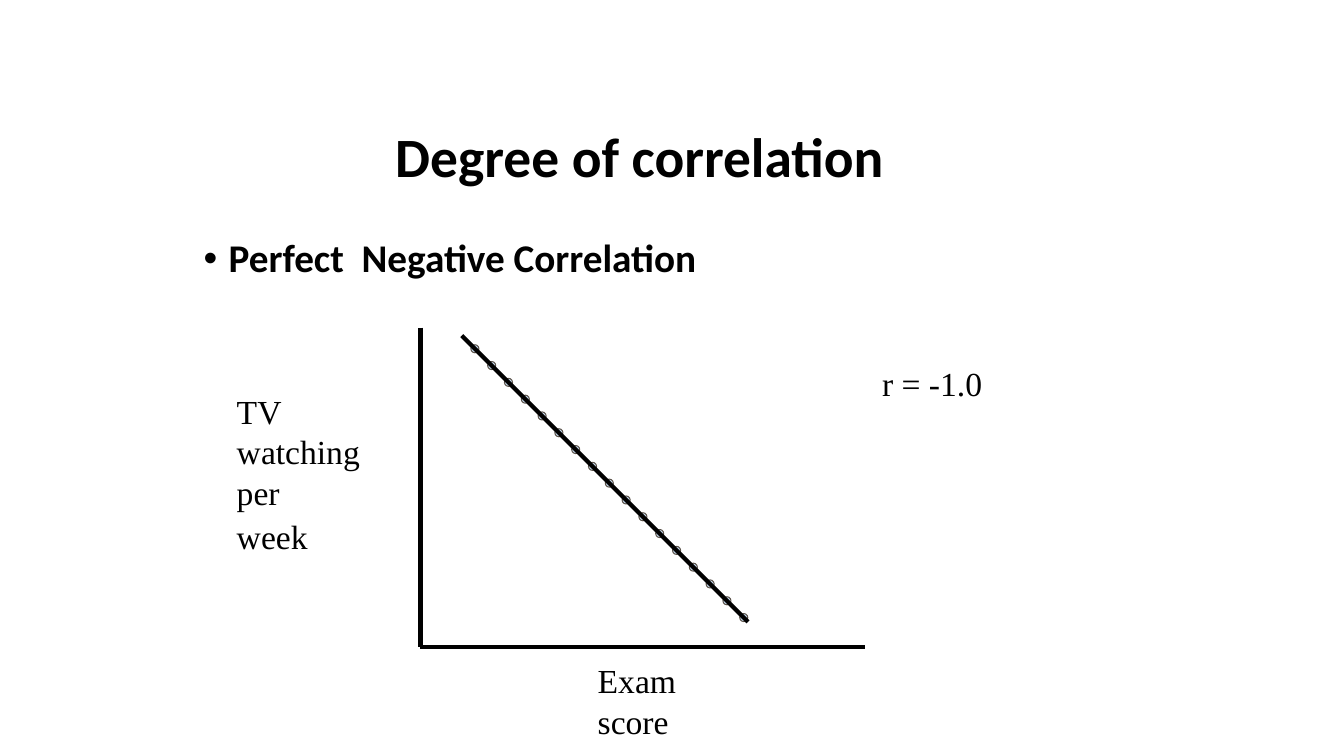
from dataclasses import dataclass

from lxml.etree import SubElement
from pptx import Presentation
from pptx.dml.color import RGBColor
from pptx.enum.shapes import MSO_CONNECTOR, MSO_SHAPE
from pptx.enum.text import MSO_ANCHOR, PP_ALIGN
from pptx.oxml.ns import qn
from pptx.util import Inches, Pt


@dataclass(frozen=True)
class Theme:
    ink: RGBColor = RGBColor(0x00, 0x00, 0x00)
    dot_fill: RGBColor = RGBColor(0xC9, 0xDD, 0xF1)
    dot_outline: RGBColor = RGBColor(0x5B, 0x52, 0x49)
    heading_font: str = "Calibri"
    label_font: str = "Times New Roman"
    title_size: float = 39.6
    bullet_size: float = 28
    label_size: float = 24
    line_width: float = 3
    dot_line_width: float = 0.75
    heading_spacing: float = 0.95


THEME = Theme()
DOT_COUNT = 17
DOT_STEP = 1 / 6
DOT_SIZE = 0.08


def format_runs(paragraph, font_name, size, bold=False):
    for run in paragraph.runs:
        run.font.name = font_name
        run.font.size = Pt(size)
        run.font.bold = bold
        run.font.color.rgb = THEME.ink


def set_title(slide, text):
    title = slide.shapes.title
    title.left, title.top = Inches(2.83), Inches(1.18)
    title.width, title.height = Inches(8.5), Inches(0.78)
    frame = title.text_frame
    frame.text = text
    frame.margin_left = Inches(1.09)
    frame.vertical_anchor = MSO_ANCHOR.MIDDLE
    heading = frame.paragraphs[0]
    heading.alignment = PP_ALIGN.LEFT
    heading.line_spacing = THEME.heading_spacing
    format_runs(heading, THEME.heading_font, THEME.title_size, bold=True)


def add_bullet(slide, text, left, top, width, height):
    body = slide.shapes.add_textbox(
        Inches(left), Inches(top), Inches(width), Inches(height))
    body.text_frame.word_wrap = True
    body.text_frame.text = text
    point = body.text_frame.paragraphs[0]
    point.line_spacing = THEME.heading_spacing
    properties = point._p.get_or_add_pPr()
    properties.set("marL", str(Inches(0.25)))
    properties.set("indent", str(-Inches(0.25)))
    SubElement(properties, qn("a:buFont")).set("typeface", "Arial")
    SubElement(properties, qn("a:buChar")).set("char", "•")
    format_runs(point, THEME.heading_font, THEME.bullet_size, bold=True)


def add_label(slide, text, left, top, width, height, wrap=False):
    label = slide.shapes.add_textbox(
        Inches(left), Inches(top), Inches(width), Inches(height))
    label.text_frame.word_wrap = wrap
    label.text_frame.text = text
    for index, paragraph in enumerate(label.text_frame.paragraphs):
        if index:
            paragraph.space_before = Pt(3)
        format_runs(paragraph, THEME.label_font, THEME.label_size)


def add_line(slide, start, end):
    line = slide.shapes.add_connector(
        MSO_CONNECTOR.STRAIGHT, *map(Inches, start + end))
    line.line.color.rgb = THEME.ink
    line.line.width = Pt(THEME.line_width)
    SubElement(line._element.spPr, qn("a:effectLst"))


def add_dot(slide, left, top):
    dot = slide.shapes.add_shape(
        MSO_SHAPE.OVAL, Inches(left), Inches(top),
        Inches(DOT_SIZE), Inches(DOT_SIZE))
    dot.shadow.inherit = False
    dot.fill.solid()
    dot.fill.fore_color.rgb = THEME.dot_fill
    dot.line.color.rgb = THEME.dot_outline
    dot.line.width = Pt(THEME.dot_line_width)


def add_scatter(slide):
    origin = (4.17, 6.42)
    add_line(slide, (4.17, 3.25), origin)
    add_line(slide, origin, (8.58, 6.42))
    for index in range(DOT_COUNT):
        offset = index * DOT_STEP
        add_dot(slide, 4.67 + offset, 3.42 + offset)
    add_line(slide, (4.58, 3.33), (7.42, 6.17))


def main():
    presentation = Presentation()
    presentation.slide_width = Inches(13.33)
    presentation.slide_height = Inches(7.5)
    slide = presentation.slides.add_slide(
        presentation.slide_layouts.get_by_name("Title Only"))
    set_title(slide, "Degree of correlation")
    add_bullet(slide, "Perfect  Negative Correlation", 1.92, 2.3, 9.42, 4.87)
    add_scatter(slide)
    add_label(slide, "Exam score", 5.83, 6.5, 1.76, 0.5)
    add_label(slide, "TV watching per\nweek", 2.25, 3.83, 1.67, 1.7, wrap=True)
    add_label(slide, "r = -1.0", 8.65, 3.55, 1.32, 0.5)
    presentation.save("out.pptx")


if __name__ == "__main__":
    main()
